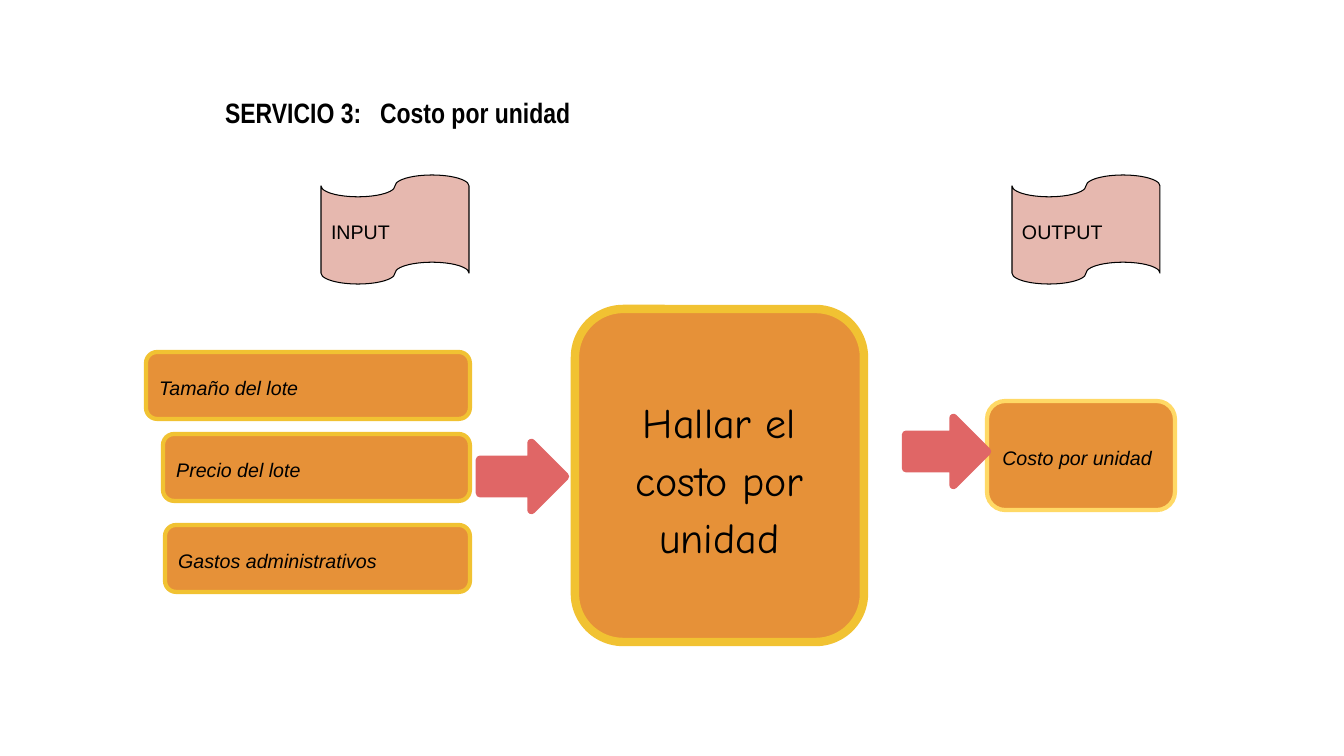
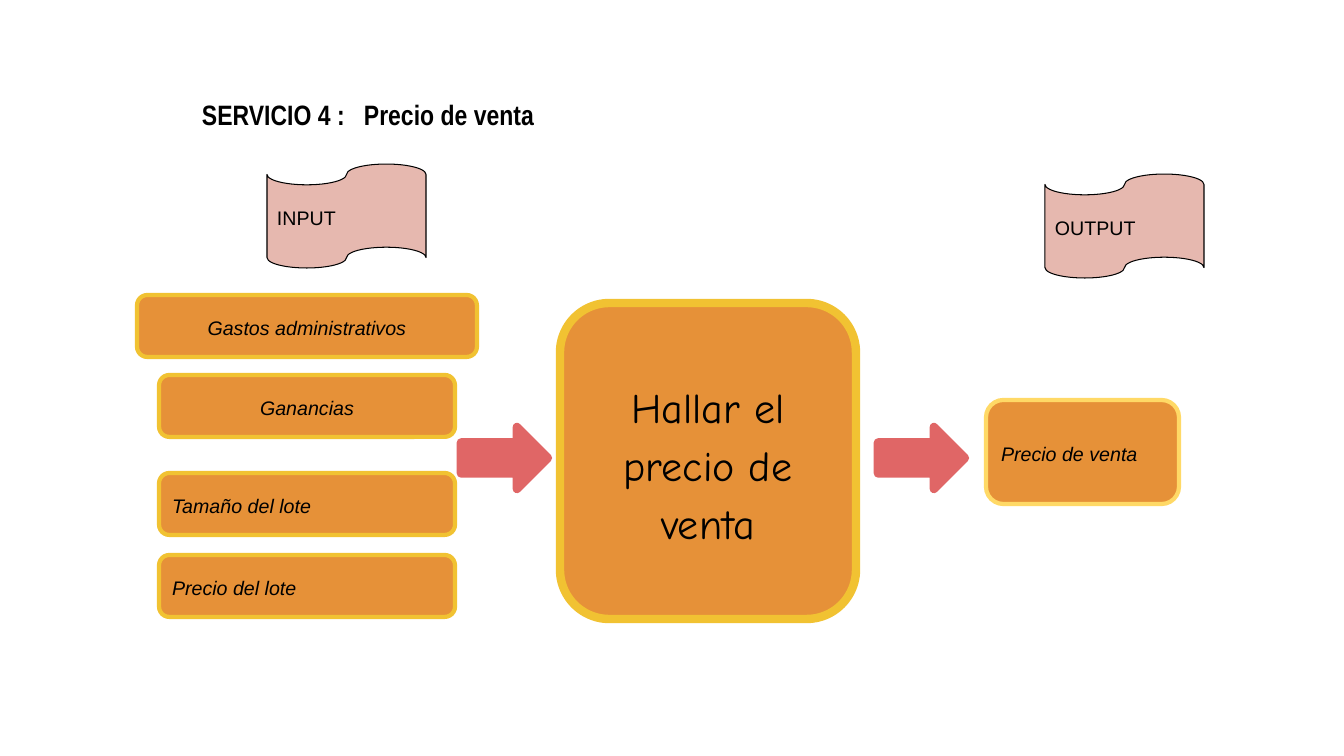
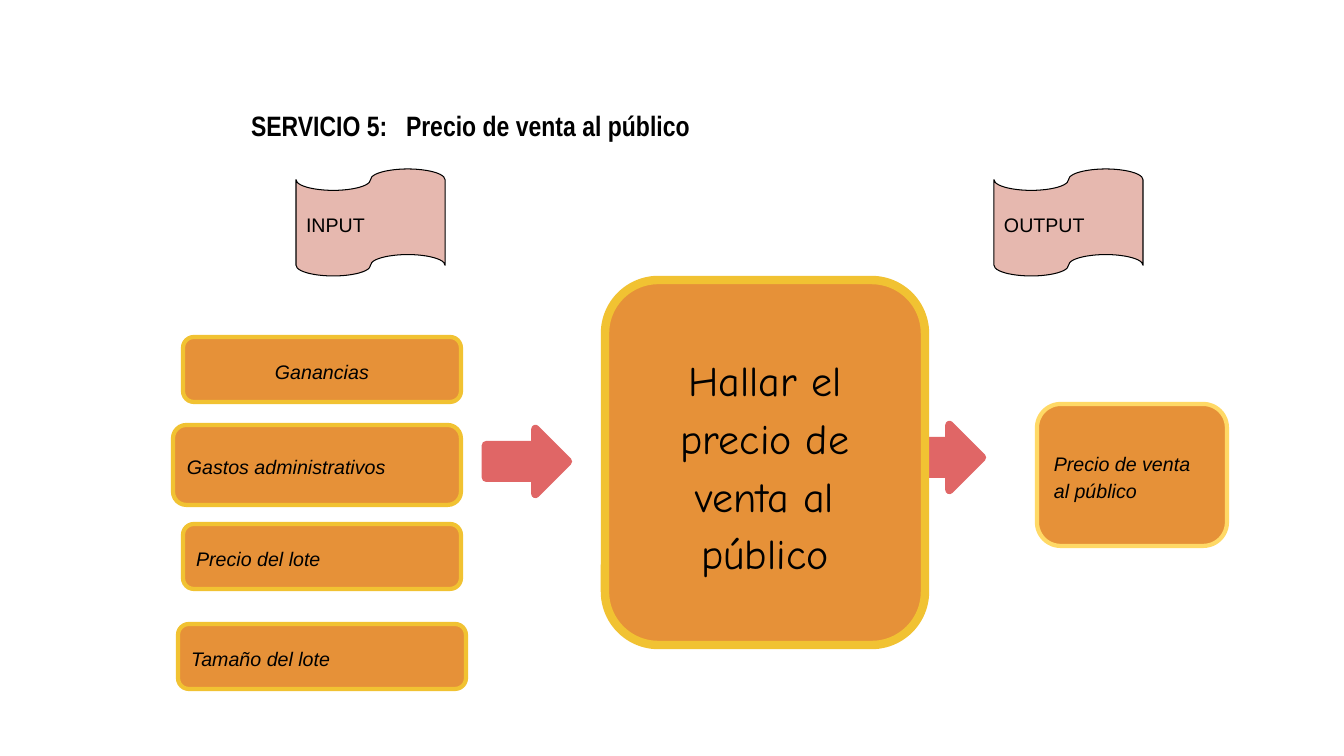
from lxml import etree
from pptx import Presentation
from pptx.dml.color import RGBColor
from pptx.enum.shapes import MSO_SHAPE
from pptx.enum.text import MSO_ANCHOR, MSO_AUTO_SIZE, PP_ALIGN
from pptx.oxml.ns import qn
from pptx.util import Pt

# Shared measures and enum members
SCALE = 914400 / 100.8
WIDE, HIGH = 1344, 756
INSET = 10
LEFT, MID = PP_ALIGN.LEFT, PP_ALIGN.CENTER
TOP, MIDDLE = MSO_ANCHOR.TOP, MSO_ANCHOR.MIDDLE
NO_FIT = MSO_AUTO_SIZE.NONE
ROUND = MSO_SHAPE.ROUNDED_RECTANGLE
ARROW = MSO_SHAPE.RIGHT_ARROW
TAPE = MSO_SHAPE.FLOWCHART_PUNCHED_TAPE

# Colours
BLACK = RGBColor(0x00, 0x00, 0x00)
PINK = RGBColor(0xE6, 0xB8, 0xAF)
ORANGE = RGBColor(0xE6, 0x91, 0x38)
GOLD = RGBColor(0xF1, 0xC2, 0x32)
YELLOW = RGBColor(0xFF, 0xD9, 0x66)
RED = RGBColor(0xE0, 0x66, 0x66)

# Text styles
HEAD = {"name": "Arial Narrow", "size": Pt(20), "bold": True}
LABEL = {"name": "Arial", "size": Pt(14)}
ITEM = {"name": "Arial", "size": Pt(14), "italic": True}
TASK = {"name": "Comic Neue", "size": Pt(30)}

# Boxes are (left, top, width, height); an item adds its alignment
SLIDES = [
    {
        "title": ("SERVICIO 3:", "Costo por unidad", (215, 80, 691, 87), 155),
        "tapes": [(321, 175, 148, 109), (1012, 175, 148, 109)],
        "items": [
            ("Tamaño del lote", (146, 352, 324, 67), LEFT),
            ("Precio del lote", (163, 434, 307, 67), LEFT),
            ("Gastos administrativos", (165, 525, 305, 67), LEFT),
        ],
        "arrows": [(480, 443, 85, 67), (906, 418, 81, 67)],
        "task": ("Hallar el costo por unidad", (575, 309, 289, 333)),
        "result": ("Costo por unidad", (987, 401, 188, 109)),
    },
    {
        "title": ("SERVICIO 4 :", "Precio de venta", (192, 82, 725, 83), 162),
        "tapes": [(267, 164, 159, 104), (1045, 174, 159, 104)],
        "items": [
            ("Gastos administrativos", (137, 295, 340, 62), MID),
            ("Ganancias", (159, 375, 296, 62), MID),
            ("Tamaño del lote", (159, 473, 296, 62), LEFT),
            ("Precio del lote", (159, 555, 296, 62), LEFT),
        ],
        "arrows": [(461, 427, 87, 62), (878, 427, 87, 62)],
        "task": ("Hallar el precio de venta", (560, 303, 296, 316)),
        "result": ("Precio de venta", (986, 400, 193, 104)),
    },
    {
        "title": ("SERVICIO 5:", "Precio de venta al público",
                  (241, 93, 898, 86), 155),
        "tapes": [(296, 169, 149, 107), (994, 169, 149, 107)],
        "items": [
            ("Ganancias", (183, 337, 278, 65), MID),
            ("Gastos administrativos", (173, 425, 288, 80), LEFT),
            ("Precio del lote", (183, 524, 278, 65), LEFT),
            ("Tamaño del lote", (178, 624, 288, 65), LEFT),
        ],
        "arrows": [(486, 429, 82, 65), (900, 425, 82, 65)],
        "task": ("Hallar el precio de venta al público",
                 (605, 280, 320, 365)),
        "result": ("Precio de venta al público", (1037, 404, 190, 142)),
    },
]


def px(value):
    return round(value * SCALE)


def apply(target, values):
    for name, value in values.items():
        setattr(target, name, value)


def write(shape, text, style, align=LEFT, anchor=MIDDLE):
    """Fill a shape's frame with one styled paragraph."""
    frame = shape.text_frame
    gap = px(INSET)
    apply(frame, {
        "margin_left": gap, "margin_right": gap,
        "margin_top": gap, "margin_bottom": gap,
        "word_wrap": True, "auto_size": NO_FIT, "vertical_anchor": anchor,
    })
    para = frame.paragraphs[0]
    apply(para, {"alignment": align, "line_spacing": 1.15})
    run = para.add_run()
    run.text = text
    apply(run.font, style)
    run.font.color.rgb = BLACK
    return para


def draw(slide, kind, box, fill, edge, weight):
    shape = slide.shapes.add_shape(kind, *map(px, box))
    shape.shadow.inherit = False
    shape.fill.solid()
    shape.fill.fore_color.rgb = fill
    shape.line.color.rgb = edge
    shape.line.width = Pt(weight)
    return shape


def add_title(slide, label, name, box, stop):
    """Place the title, with a tab stop between service and name."""
    title = slide.shapes.title
    sides = ("left", "top", "width", "height")
    apply(title, dict(zip(sides, map(px, box))))
    para = write(title, f"{label}\t{name}", HEAD, anchor=TOP)
    props = para._p.get_or_add_pPr()
    tabs = etree.SubElement(props, qn("a:tabLst"))
    etree.SubElement(tabs, qn("a:tab"), pos=str(px(stop)), algn="l")


def add_tape(slide, text, box):
    write(draw(slide, TAPE, box, PINK, BLACK, 0.75), text, LABEL)


def add_box(slide, text, box, style=ITEM, align=LEFT, edge=GOLD, weight=3):
    shape = draw(slide, ROUND, box, ORANGE, edge, weight)
    write(shape, text, style, align)


def add_flow(slide, data):
    """Build one service: inputs, task and result."""
    add_title(slide, *data["title"])
    for text, box in zip(("INPUT", "OUTPUT"), data["tapes"]):
        add_tape(slide, text, box)
    add_box(slide, *data["result"], edge=YELLOW)
    for box in data["arrows"]:
        draw(slide, ARROW, box, RED, RED, 6)
    for text, box, align in data["items"]:
        add_box(slide, text, box, align=align)
    add_box(slide, *data["task"], style=TASK, align=MID, weight=6)


def main():
    deck = Presentation()
    deck.slide_width, deck.slide_height = px(WIDE), px(HIGH)
    layout = deck.slide_layouts.get_by_name("Title Only")
    for data in SLIDES:
        add_flow(deck.slides.add_slide(layout), data)
    deck.save("out.pptx")


main()
